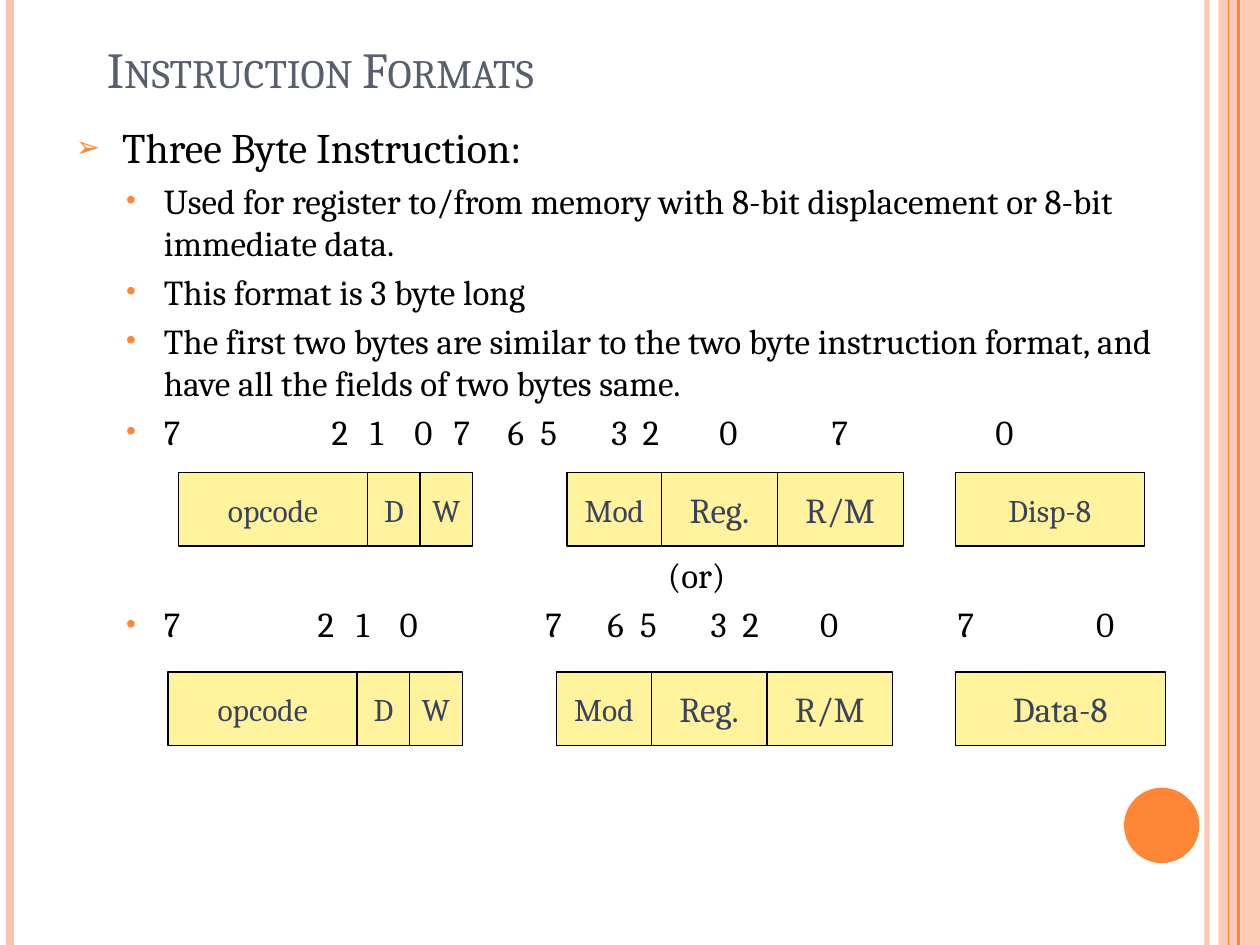
"""Build a slide on the three byte instruction format."""
from lxml.etree import SubElement
from pptx import Presentation
from pptx.dml.color import RGBColor
from pptx.enum.shapes import MSO_CONNECTOR as Connector, MSO_SHAPE as Shape
from pptx.enum.text import MSO_ANCHOR as Anchor, MSO_AUTO_SIZE as AutoSize, PP_ALIGN as Align
from pptx.oxml.ns import qn
from pptx.util import Cm, Pt

COLORS = {"title": "575F6D", "text": "000000", "accent": "FE8637", "pale": "FEC3AE",
          "field": "FFF39D", "label": "3B435B"}
FONT = "Cambria"


def add_text(paragraph, words, size, color):
    run = paragraph.add_run()
    run.text = words
    for name, value in {"name": FONT, "size": Pt(size), "bold": False}.items():
        setattr(run.font, name, value)
    run.font.color.rgb = RGBColor.from_string(COLORS[color])
    return run


def set_alpha(fill_parent, percent):
    color = fill_parent.find(".//" + qn("a:srgbClr"))
    SubElement(color, qn("a:alpha"), val=str(percent * 1000))


deck = Presentation()
deck.slide_width, deck.slide_height = Cm(25.4), Cm(19.05)
slide = deck.slides.add_slide(deck.slide_layouts[1])
title, body = slide.shapes.title, slide.placeholders[1]

for holder, (left, top, width, height), anchor in (
    (title, (1.9, 0.64, 21.59, 1.48), Anchor.BOTTOM),
    (body, (1.27, 2.33, 22.86, 15.66), Anchor.TOP),
):
    for name, value in {"left": left, "top": top, "width": width, "height": height}.items():
        setattr(holder, name, Cm(value))
    frame = holder.text_frame
    for name, value in {"vertical_anchor": anchor, "word_wrap": True,
                        "auto_size": AutoSize.NONE}.items():
        setattr(frame, name, value)

heading = title.text_frame.paragraphs[0]
heading.alignment = Align.LEFT
caption = add_text(heading, "Instruction Formats", 28.8, "title")
caption.font._element.set("cap", "small")

LEVELS = {
    "main": {"level": 0, "margin": 0.94, "hang": -0.94, "bullet": "➢", "scale": 70, "size": 24},
    "point": {"level": 1, "margin": 1.78, "hang": -0.76, "bullet": "•", "scale": 80, "size": 20},
    "middle": {"level": 1, "margin": 11.94, "hang": 0, "bullet": None, "size": 20},
}
FIRST_BITS = (5.16, 5.94, 6.83, 7.62, 8.71, 9.37, 10.8, 11.43, 12.98, 15.24, 18.54)
SECOND_BITS = (4.88, 5.66, 6.53, 9.47, 10.72, 11.38, 12.8, 13.44, 15.01, 17.78, 21.23)
BIT_NUMBERS = "\t".join("721076532070")
lines = (
    ("main", "Three Byte Instruction:", 0, ()),
    ("point", "Used for register to/from memory with 8-bit displacement or 8-bit immediate data.", 4, ()),
    ("point", "This format is 3 byte long", 4, ()),
    ("point", "The first two bytes are similar to the two byte instruction format, "
              "and have all the fields of two bytes same.", 4, ()),
    ("point", BIT_NUMBERS, 4, FIRST_BITS),
    ("middle", "(or)", 58, ()),
    ("point", BIT_NUMBERS, 4, SECOND_BITS),
)
for index, (kind, words, space, stops) in enumerate(lines):
    style = LEVELS[kind]
    line = body.text_frame.add_paragraph() if index else body.text_frame.paragraphs[0]
    line.level = style["level"]
    props = line._p.get_or_add_pPr()
    props.set("marL", str(Cm(style["margin"])))
    props.set("indent", str(Cm(style["hang"])))
    if style["bullet"]:
        tint = SubElement(props, qn("a:buClr"))
        SubElement(tint, qn("a:srgbClr"), val=COLORS["accent"])
        SubElement(props, qn("a:buSzPct"), val=str(style["scale"] * 1000))
        SubElement(props, qn("a:buChar"), char=style["bullet"])
    else:
        SubElement(props, qn("a:buNone"))
    if stops:
        tabs = SubElement(props, qn("a:tabLst"))
        for stop in stops:
            SubElement(tabs, qn("a:tab"), pos=str(Cm(stop)), algn="l")
    line.space_before = Pt(space)
    add_text(line, words, style["size"], "text")

band = slide.shapes.add_shape(Shape.RECTANGLE, Cm(24.56), 0, Cm(0.84), deck.slide_height)
disc = slide.shapes.add_shape(Shape.OVAL, Cm(22.66), Cm(15.88), Cm(1.52), Cm(1.52))
for ornament, color in ((band, "pale"), (disc, "accent")):
    ornament.shadow.inherit = False
    ornament.fill.solid()
    ornament.fill.fore_color.rgb = RGBColor.from_string(COLORS[color])
    ornament.line.fill.background()
set_alpha(band._element.spPr, 87)

for x, color, weight, alpha in ((24.33, "pale", 3, 93), (0.21, "pale", 4.5, 100),
                                (24.97, "accent", 1.5, 100), (24.77, "accent", 0.75, 100)):
    stripe = slide.shapes.add_connector(Connector.STRAIGHT, Cm(x), 0, Cm(x), deck.slide_height)
    stripe.line.color.rgb = RGBColor.from_string(COLORS[color])
    stripe.line.width = Pt(weight)
    if alpha < 100:
        set_alpha(stripe._element.spPr, alpha)
    SubElement(stripe._element.spPr, qn("a:effectLst"))

OPCODE_BYTE = (("opcode", 3.81, 18), ("D", 1.06, 18), ("W", 1.06, 18))
MODE_BYTE = (("Mod", 1.91, 18), ("Reg.", 2.33, 20), ("R/M", 2.54, 20))
formats = (
    (9.53, ((3.6, OPCODE_BYTE), (11.43, MODE_BYTE), (19.26, (("Disp-8", 3.81, 18),)))),
    (13.55, ((3.39, OPCODE_BYTE), (11.22, MODE_BYTE), (19.26, (("Data-8", 4.23, 20),)))),
)
for top, layout in formats:
    diagram = slide.shapes.add_group_shape()
    for left, fields in layout:
        for name, width, size in fields:
            field = diagram.shapes.add_shape(Shape.RECTANGLE, Cm(left), Cm(top), Cm(width), Cm(1.48))
            field.shadow.inherit = False
            field.fill.solid()
            field.fill.fore_color.rgb = RGBColor.from_string(COLORS["field"])
            field.line.color.rgb = RGBColor.from_string(COLORS["text"])
            field.line.width = Pt(0.75)
            field.text_frame.word_wrap = False
            field.text_frame.vertical_anchor = Anchor.MIDDLE
            label = field.text_frame.paragraphs[0]
            label.alignment = Align.CENTER
            add_text(label, name, size, "label")
            left += width

deck.save("out.pptx")
